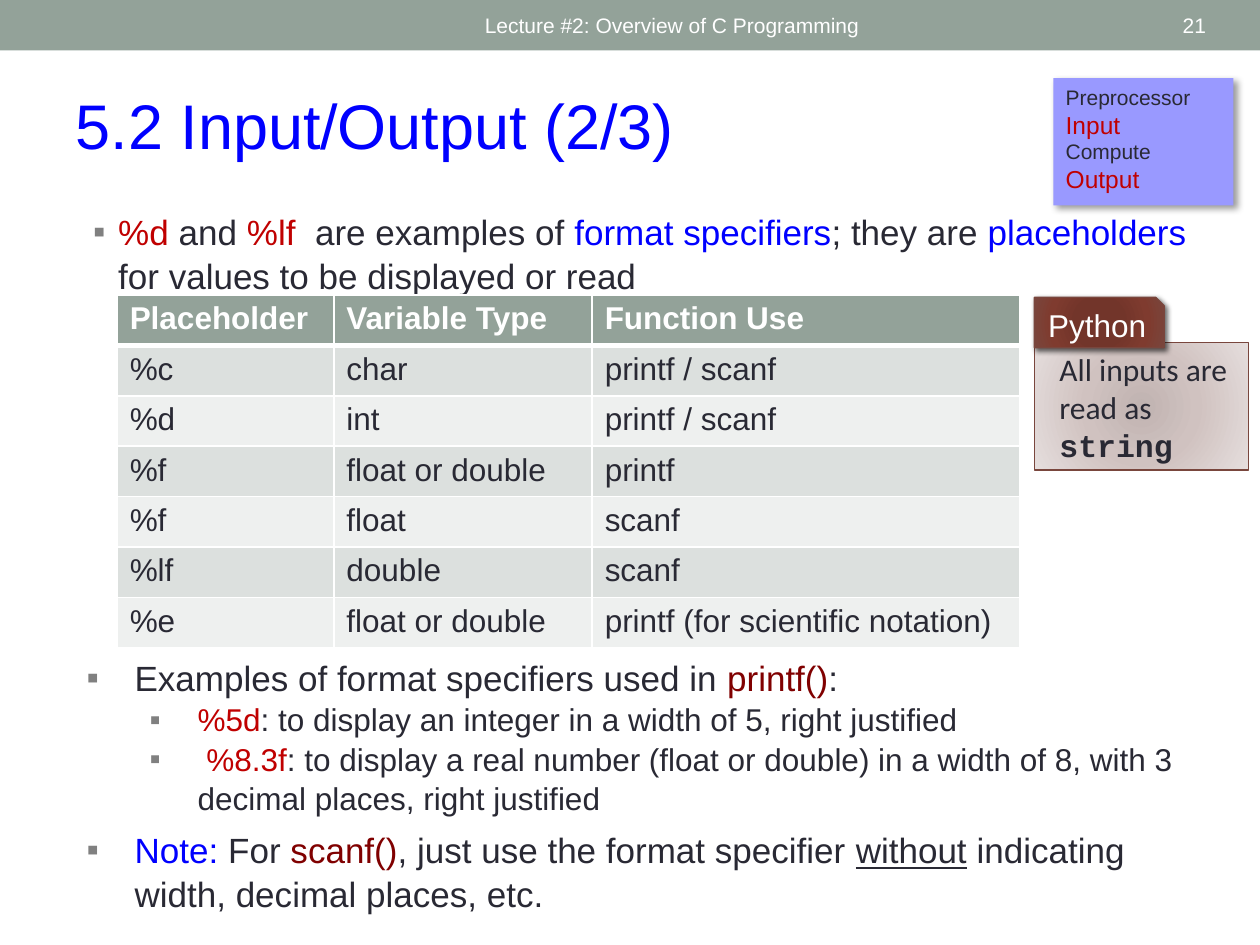
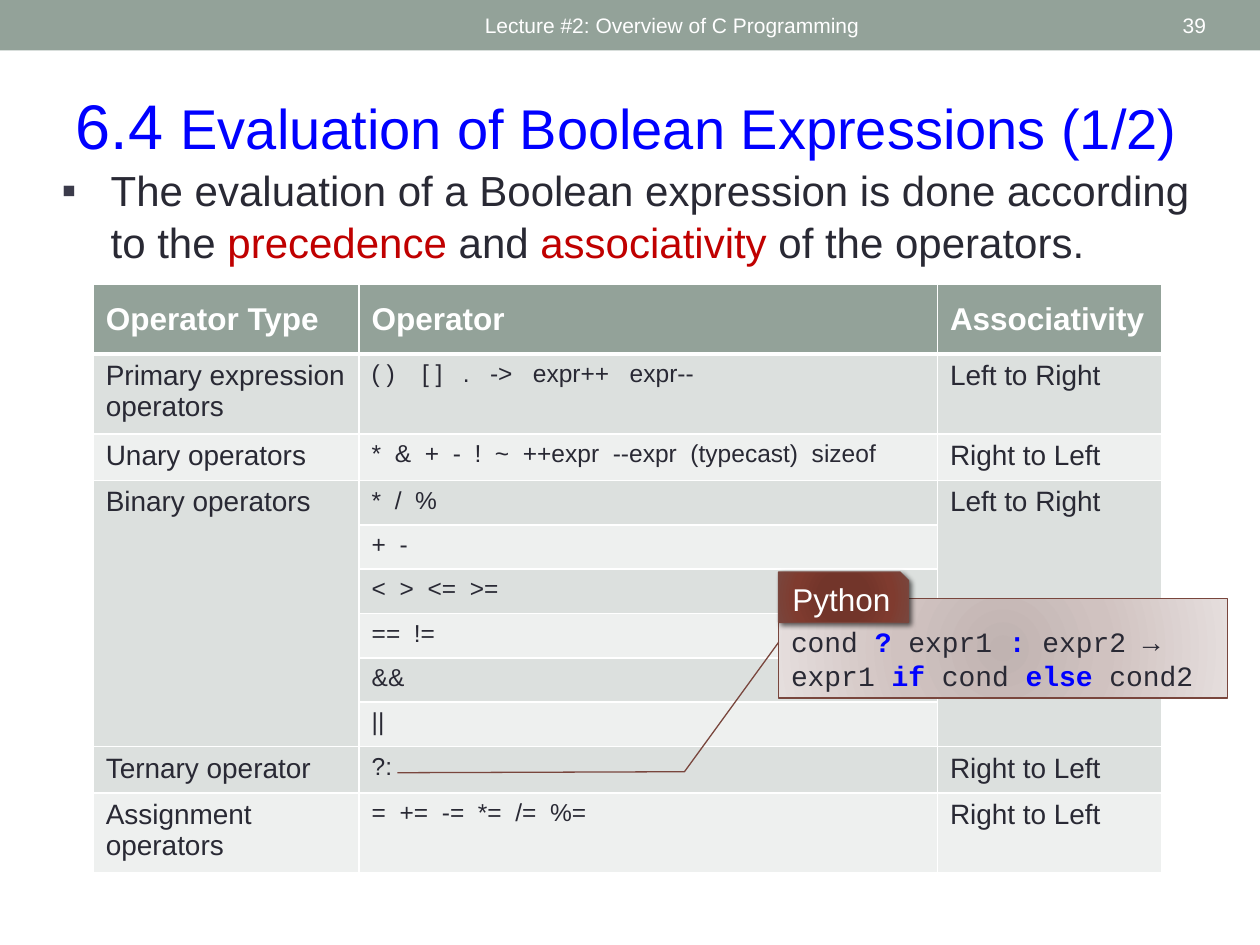
from typing import NamedTuple

from pptx import Presentation
from pptx import util as u
from pptx.dml.color import RGBColor
from pptx.enum import shapes, text
from pptx.oxml import parse_xml
from pptx.oxml.ns import nsdecls, qn

SAGE = RGBColor(0x93, 0xA2, 0x99)
BAND_DARK = RGBColor(0xDC, 0xE0, 0xDE)
BAND_LIGHT = RGBColor(0xEE, 0xF0, 0xEF)
WHITE = RGBColor(0xFF, 0xFF, 0xFF)
INK = RGBColor(0x29, 0x29, 0x34)
BLUE = RGBColor(0x00, 0x00, 0xFF)
RED = RGBColor(0xC0, 0x00, 0x00)
MAROON = RGBColor(0x80, 0x00, 0x00)
LILAC = RGBColor(0x99, 0x99, 0xFF)
GREY = RGBColor(0x80, 0x80, 0x80)
SLATE = RGBColor(0x3B, 0x3B, 0x4B)
BROWN = RGBColor(0x79, 0x46, 0x3D)
ROSE = {0: RGBColor(0xC0, 0xB3, 0xB1), 45: RGBColor(0xD0, 0xC2, 0xC0),
        100: RGBColor(0xE5, 0xDE, 0xDD)}
RUST = {0: RGBColor(0x74, 0x33, 0x27), 34: RGBColor(0x72, 0x35, 0x2A),
        70: RGBColor(0x7F, 0x3B, 0x2F), 100: BROWN}

COLS, ROWS = 100, 75
WIDTH, HEIGHT = u.Inches(10), u.Inches(7.5)
COL, ROW = WIDTH // COLS, HEIGHT // ROWS
SHAPE, ANCHOR, ALIGN = shapes.MSO_SHAPE, text.MSO_ANCHOR, text.PP_ALIGN


class Box(NamedTuple):
    """A region measured in grid columns and rows."""
    x: float
    y: float
    w: float
    h: float

    def sub(self, x, y, w, h):
        """Return a box placed from this box's corner."""
        return Box(self.x + x, self.y + y, w, h)

    def emu(self):
        """Return left, top, width and height as lengths."""
        return [u.Emu(round(n * unit)) for n, unit in zip(self, (COL, ROW, COL, ROW))]


BAND = Box(0, 0, COLS, 4)
TITLE = Box(5, 6.4, 92.9, 7.1)


def write(p, txt, size=18, color=INK, font="Arial", bold=False, underline=False):
    """Add one formatted run to a paragraph."""
    r = p.add_run()
    r.text = txt
    f = r.font
    f.size, f.name, f.bold, f.underline = u.Pt(size), font, bold, underline
    f.color.rgb = color


def write_runs(p, runs, **fmt):
    """Add runs given as plain text or as (text, format) pairs."""
    for run in runs:
        txt, extra = (run, {}) if isinstance(run, str) else run
        write(p, txt, **{**fmt, **extra})


def write_lines(tf, lines, **fmt):
    """Fill a frame with one paragraph per list of runs."""
    for i, runs in enumerate(lines):
        p = tf.add_paragraph() if i else tf.paragraphs[0]
        p.alignment = ALIGN.LEFT
        write_runs(p, runs, **fmt)


def add_text(slide, box, anchor=ANCHOR.TOP):
    """Add a wrapping text box and return its frame."""
    tf = slide.shapes.add_textbox(*box.emu()).text_frame
    tf.word_wrap, tf.vertical_anchor = True, anchor
    return tf


def bullet(p, runs, size, margin, hang, before=0, color=GREY):
    """Make a paragraph a hanging square bullet."""
    p.space_before, p.line_spacing = u.Pt(before), 1.04
    pPr = p._p.get_or_add_pPr()
    pPr.set("marL", str(u.Inches(margin)))
    pPr.set("indent", str(-u.Inches(hang)))
    for xml in (f'<a:buClr {nsdecls("a")}><a:srgbClr val="{color}"/></a:buClr>',
                f'<a:buFont {nsdecls("a")} typeface="Arial"/>',
                f'<a:buChar {nsdecls("a")} char="▪"/>'):
        pPr.append(parse_xml(xml))
    write_runs(p, runs, size=size)


def panel(slide, kind, box, fill, line=None, shadow=None, anchor=ANCHOR.TOP):
    """Add a shape with a plain or radial fill; shadow is alpha, blur, distance."""
    sp = slide.shapes.add_shape(kind, *box.emu())
    sp.shadow.inherit = False
    sp.fill.solid()
    spPr = sp._element.spPr
    if isinstance(fill, dict):
        stops = "".join(f'<a:gs pos="{pos * 1000}"><a:srgbClr val="{c}"/></a:gs>'
                        for pos, c in fill.items())
        spPr.replace(spPr.find(qn("a:solidFill")), parse_xml(
            f'<a:gradFill {nsdecls("a")} rotWithShape="1"><a:gsLst>{stops}</a:gsLst>'
            '<a:path path="circle"><a:fillToRect l="100000" t="100000" r="100000" '
            'b="100000"/></a:path></a:gradFill>'))
    else:
        sp.fill.fore_color.rgb = fill
    if line is None:
        sp.line.fill.background()
    else:
        sp.line.color.rgb, sp.line.width = line, u.Pt(0.75)
    if shadow:
        alpha, blur, dist = shadow
        spPr.find(qn("a:effectLst")).append(parse_xml(
            f'<a:outerShdw {nsdecls("a")} blurRad="{u.Pt(blur)}" dist="{u.Pt(dist)}" '
            'dir="2700000" algn="tl" rotWithShape="0"><a:srgbClr val="000000">'
            f'<a:alpha val="{alpha * 1000}"/></a:srgbClr></a:outerShdw>'))
    sp.text_frame.word_wrap, sp.text_frame.vertical_anchor = True, anchor
    return sp


def add_page(prs, number, title):
    """Add a slide with its band, footer, number and title."""
    slide = prs.slides.add_slide(prs.slide_layouts[5])
    panel(slide, SHAPE.RECTANGLE, BAND, SAGE)
    for x, w, txt, align in ((37.5, 45, "Lecture #2: Overview of C Programming", ALIGN.LEFT),
                             (87.2, 9.5, str(number), ALIGN.RIGHT)):
        p = add_text(slide, BAND.sub(x, 0.2, w, 3.6), ANCHOR.MIDDLE).paragraphs[0]
        p.alignment = align
        write(p, txt, size=12, color=WHITE)
    sp = slide.shapes.title
    sp.left, sp.top, sp.width, sp.height = TITLE.emu()
    tf = sp.text_frame
    tf.auto_size, tf.vertical_anchor = text.MSO_AUTO_SIZE.NONE, ANCHOR.TOP
    write_lines(tf, [title], size=36, color=BLUE)
    return slide


def format_cell(cell, txt, fill, size, color=INK, bold=False, bottom=1):
    """Give a cell its white borders, fill and text."""
    tcPr = cell._tc.get_or_add_tcPr()
    for side, width in zip("LRTB", (1, 1, 1, bottom)):
        tcPr.append(parse_xml(
            f'<a:ln{side} {nsdecls("a")} w="{u.Pt(width)}"><a:solidFill>'
            f'<a:srgbClr val="{WHITE}"/></a:solidFill></a:ln{side}>'))
    cell.fill.solid()
    cell.fill.fore_color.rgb = fill
    if txt:
        write(cell.text_frame.paragraphs[0], txt, size=size, color=color, bold=bold)


def add_grid(slide, box, widths, heights, rows, sizes, head_anchor=ANCHOR.TOP):
    """Add a banded table and return it."""
    table = slide.shapes.add_table(len(rows), len(widths), *box.emu()).table
    for column, w in zip(table.columns, widths):
        column.width = u.Emu(round(w * COL))
    for i, (row, h) in enumerate(zip(rows, heights)):
        table.rows[i].height = u.Emu(round(h * ROW))
        for j, txt in enumerate(row):
            cell = table.cell(i, j)
            if i == 0:
                format_cell(cell, txt, SAGE, 18, WHITE, True, 3)
                cell.vertical_anchor = head_anchor
            else:
                format_cell(cell, txt, BAND_DARK if i % 2 else BAND_LIGHT, sizes[j])
    return table


def python_note(slide, box, drop, lines, kind=SHAPE.RECTANGLE, **fmt):
    """Add a note whose body starts a drop below its Python tab."""
    body = panel(slide, kind, box.sub(0, drop, box.w, box.h - drop), ROSE, BROWN,
                 anchor=ANCHOR.BOTTOM)
    write_lines(body.text_frame, lines, **fmt)
    tab = panel(slide, SHAPE.SNIP_1_RECTANGLE, box.sub(0, 0, 10.3, 4), RUST, BROWN,
                (60, 3, 2), ANCHOR.MIDDLE)
    p = tab.text_frame.paragraphs[0]
    p.alignment = ALIGN.CENTER
    write(p, "Python", color=WHITE)
    return body


def stage_list(slide, box):
    """Add the list of program stages with input and output marked."""
    sp = panel(slide, SHAPE.RECTANGLE, box, LILAC, shadow=(40, 4, 3))
    marked = dict(size=14, color=RED)
    write_lines(sp.text_frame, [["Preprocessor"], [("Input", marked)], ["Compute"],
                                [("Output", marked)]], size=12)


def build_input_output(prs):
    """Build the slide on format specifiers."""
    red, blue, maroon = (dict(color=c) for c in (RED, BLUE, MAROON))
    slide = add_page(prs, 21, ["5.2 Input/Output (2/3)"])
    stage_list(slide, Box(83.6, 6.2, 14.3, 10.1))
    intro = add_text(slide, Box(6.4, 16.1, 90, 7.8))
    bullet(intro.paragraphs[0], [
        ("%d ", red), "and", (" %lf  ", red), "are examples of ", ("format specifiers", blue),
        "; they are ", ("placeholders ", blue), "for values to be displayed or read"],
        20, 0.2, 0.2, 4)
    rows = [("Placeholder", "Variable Type", "Function Use"),
            ("%c", "char", "printf / scanf"),
            ("%d", "int", "printf / scanf"),
            ("%f", "float or double", "printf"),
            ("%f", "float", "scanf"),
            ("%lf", "double", "scanf"),
            ("%e", "float or double", "printf (for scientific notation)")]
    add_grid(slide, Box(9.3, 23.4, 71.6, 26.6), (17.2, 20.5, 33.9), [3.8] * len(rows),
             rows, (18, 18, 18))
    tf = add_text(slide, Box(5.9, 51.5, 90, 20.9))
    points = [
        (["Examples of format specifiers used in ", ("printf()", maroon), ":"],
         20, 0.38, 0.38, 4),
        ([("%5d", red), ": to display an integer in a width of 5, right justified"],
         18, 0.88, 0.38),
        ([(" %8.3f", red), ": to display a real number (float or double) in a width of 8, "
          "with 3 decimal places, right justified"], 18, 0.88, 0.38),
        ([("Note: ", blue), "For ", ("scanf()", maroon), ", just use the format specifier ",
          ("without", dict(underline=True)), " indicating width, decimal places, etc."],
         20, 0.38, 0.38, 6)]
    for i, point in enumerate(points):
        bullet(tf.add_paragraph() if i else tf.paragraphs[0], *point)
    note = python_note(slide, Box(82.1, 23.6, 17, 13.7), 3.6, [
        ["All inputs are read as ", ("string", dict(font="Courier New", bold=True))]],
        font="Calibri")
    note.text_frame.paragraphs[0]._p.get_or_add_pPr().set("marL", str(u.Inches(0.1)))


def build_boolean_evaluation(prs):
    """Build the slide on operator precedence and associativity."""
    red, key = dict(color=RED), dict(color=BLUE, bold=True)
    slide = add_page(prs, 39, ["6.4 ", ("Evaluation of Boolean Expressions (1/2)",
                                        dict(size=32))])
    tf = add_text(slide, Box(3.9, 12.4, 91.8, 12.4))
    bullet(tf.paragraphs[0], [
        "The evaluation of a Boolean expression is done according to the ",
        ("precedence", red), " and ", ("associativity", red), " of the operators."],
        24, 0.39, 0.39, 6, SLATE)
    ltr, rtl = "Left to Right", "Right to Left"
    rows = [("Operator Type", "Operator", "Associativity"),
            ("Primary expression operators", "( )    [ ]   .   ->   expr++   expr--", ltr),
            ("Unary operators", "*  &  +  -  !  ~  ++expr  --expr  (typecast)  sizeof", rtl),
            ("Binary operators", "*  /  %", ltr),
            *(("", ops, "") for ops in ("+  -", "<  >  <=  >=", "==  !=", "&&", "||")),
            ("Ternary operator", "?:", rtl),
            ("Assignment operators", "=  +=  -=  *=  /=  %=", rtl)]
    heights = [5.5, 6.3, 3.7, *[3.52] * 6, 3.7, 6.3]
    table = add_grid(slide, Box(7.4, 22.6, 84.8, sum(heights)), (21.1, 45.9, 17.8), heights,
                     rows, (16, 14, 16), ANCHOR.MIDDLE)
    for j in (0, 2):
        table.cell(3, j).merge(table.cell(8, j))
    note = python_note(slide, Box(61.8, 45.4, 35.6, 10), 2.1, [
        ["cond ", ("?", key), " expr1 ", (":", key), " expr2 →"],
        ["expr1 ", ("if ", key), "cond ", ("else", key), " cond2"]],
        SHAPE.LINE_CALLOUT_2, size=16, font="Courier New")
    for i, value in enumerate((0.44, 0, 1.74, -0.21, 1.75, -0.85)):
        note.adjustments[i] = value


def main():
    """Build and save the presentation."""
    prs = Presentation()
    prs.slide_width, prs.slide_height = WIDTH, HEIGHT
    build_input_output(prs)
    build_boolean_evaluation(prs)
    prs.save("out.pptx")


if __name__ == "__main__":
    main()
